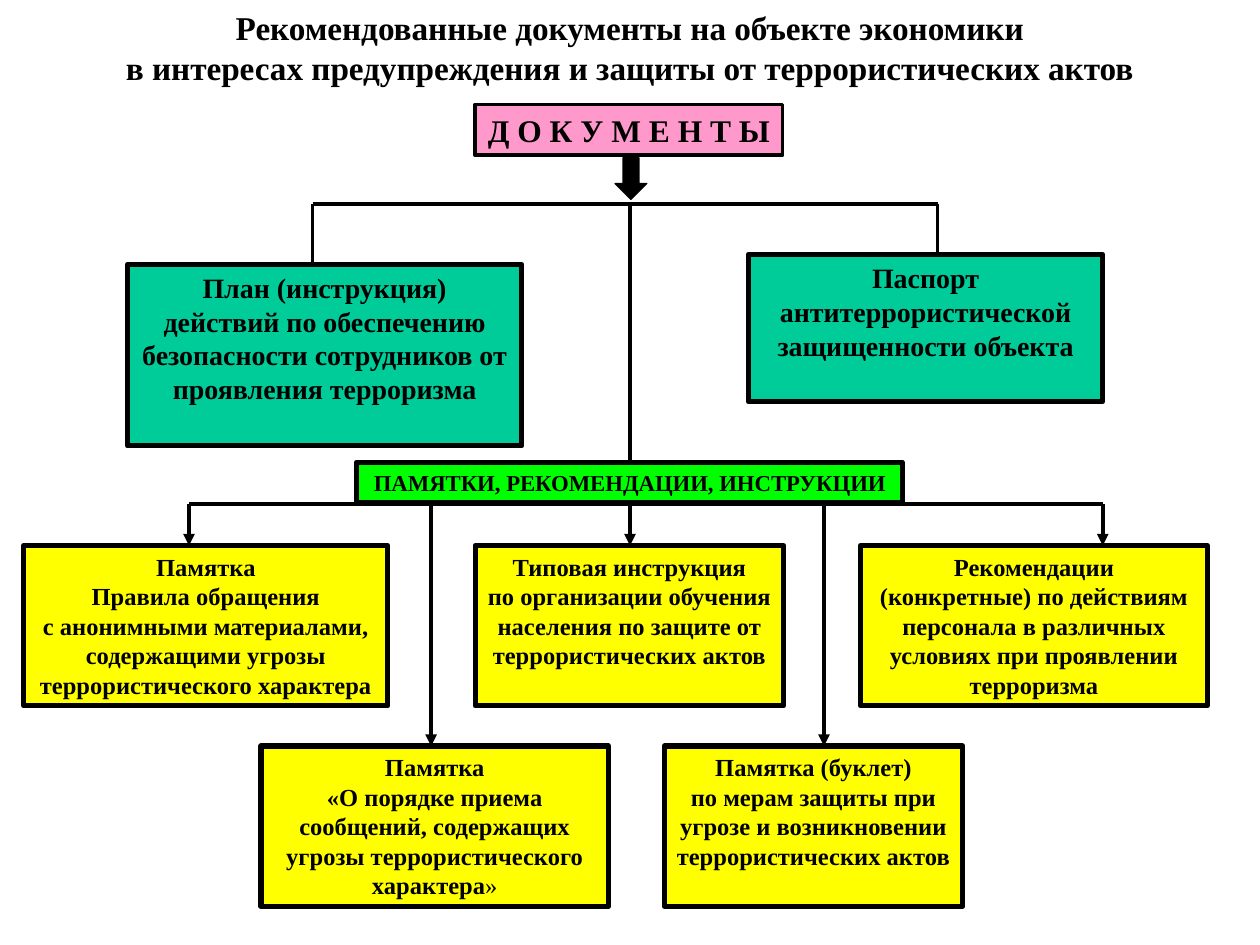
from dataclasses import dataclass

from lxml.etree import SubElement
from pptx import Presentation
from pptx.dml.color import RGBColor
from pptx.enum.shapes import MSO_CONNECTOR as Connector, MSO_SHAPE as Shape
from pptx.enum.text import MSO_ANCHOR as Anchor, MSO_AUTO_SIZE as AutoSize, PP_ALIGN as Align
from pptx.oxml.ns import qn
from pptx.util import Cm, Pt


@dataclass(frozen=True)
class Theme:
    font: str = "Times New Roman"
    ink: str = "000000"
    root: str = "FF99CC"
    branch: str = "00CC99"
    band: str = "00FF00"
    memo: str = "FFFF00"
    title_size: float = 19
    root_size: float = 18
    branch_size: float = 16
    memo_size: float = 14
    band_size: float = 13
    border: float = 3
    root_border: float = 2
    wire: float = 2.25


THEME = Theme()


def rgb(value):
    return RGBColor.from_string(value)


def write(frame, lines, *, size, anchor=Anchor.TOP, wrap=True, light_tail=""):
    """Centred bold lines; light_tail is a regular-weight ending of the last one."""
    frame.auto_size = AutoSize.NONE
    frame.word_wrap = wrap
    frame.vertical_anchor = anchor
    frame.margin_left = frame.margin_right = Cm(0.25)
    frame.margin_top = frame.margin_bottom = Cm(0.13)
    for index, line in enumerate(lines):
        para = frame.add_paragraph() if index else frame.paragraphs[0]
        para.text = line
        para.alignment = Align.CENTER
        if light_tail and index == len(lines) - 1:
            para.add_run().text = light_tail
        for span in para.runs:
            span.font.name = THEME.font
            span.font.size = Pt(size)
            span.font.bold = not (light_tail and span.text == light_tail)
            span.font.color.rgb = rgb(THEME.ink)


def add_block(page, box, fill, border, kind=Shape.RECTANGLE):
    block = page.shapes.add_shape(kind, *(Cm(value) for value in box))
    block.shadow.inherit = False
    block.fill.solid()
    block.fill.fore_color.rgb = rgb(fill)
    block.line.color.rgb = rgb(THEME.ink)
    block.line.width = Pt(border)
    return block


def add_wire(page, x1, y1, x2, y2, arrow=False):
    wire = page.shapes.add_connector(
        Connector.STRAIGHT, Cm(x1), Cm(y1), Cm(x2), Cm(y2))
    wire.line.color.rgb = rgb(THEME.ink)
    wire.line.width = Pt(THEME.wire)
    if arrow:
        SubElement(wire.line._get_or_add_ln(), qn("a:tailEnd"), type="triangle")
    SubElement(wire._element.spPr, qn("a:effectLst"))


def add_title(page, box):
    title = page.shapes.title
    title.left, title.top, title.width, title.height = (Cm(value) for value in box)
    write(title.text_frame,
          ["Рекомендованные документы на объекте экономики\v"
           "в интересах предупреждения и защиты от террористических актов"],
          size=THEME.title_size, anchor=Anchor.MIDDLE)


def add_root(page, box):
    left, top, width, height = box
    block = add_block(page, box, THEME.root, THEME.root_border)
    write(block.text_frame, ["Д О К У М Е Н Т Ы"], size=THEME.root_size, wrap=False)
    # Block arrow leading to the branches
    add_block(page, (left + width / 2 - 0.28, top + height + 0.05, 0.64, 0.84),
              THEME.ink, 0.75, Shape.DOWN_ARROW)


def add_branches(page, box):
    left, top, width, height = box
    # Offset, drop, width, height and lines of each branch
    branches = [
        (-3.73, 1.22, 7.95, 3.66,
         ["План (инструкция)", "действий по обеспечению",
          "безопасности сотрудников от", "проявления терроризма"]),
        (8.79, 1.02, 7.14, 2.97,
         ["Паспорт", "антитеррористической", "защищенности объекта"]),
    ]
    add_wire(page, left, top, left + width, top)
    for wire_x, (offset, drop, block_width, block_height, lines) in zip(
            (left, left + width), branches):
        add_wire(page, wire_x, top, wire_x, top + drop)
        block = add_block(page, (left + offset, top + drop, block_width, block_height),
                          THEME.branch, THEME.border)
        write(block.text_frame, lines, size=THEME.branch_size, wrap=False)
    # Trunk down to the band
    add_wire(page, 12.7, top, 12.7, top + height)


def add_memos(page, box):
    left, top, width, height = box
    memo_height = 3.23
    upper, lower = 0.84, height - memo_height
    # Wire offset, row, block offset, block width, lines, light ending
    memos = [
        (0, upper, -3.33, 7.34,
         ["Памятка", "Правила обращения", "с анонимными материалами,",
          "содержащими угрозы", "террористического характера"], ""),
        (8.89, upper, 5.77, 6.22,
         ["Типовая инструкция", "по организации обучения",
          "населения по защите от", "террористических актов"], ""),
        (width, upper, 13.54, 6.99,
         ["Рекомендации", "(конкретные) по действиям персонала в различных "
          "условиях при проявлении терроризма"], ""),
        (4.88, lower, 1.45, 7.01,
         ["Памятка", "«О порядке приема", "сообщений, содержащих",
          "угрозы террористического", "характера"], "»"),
        (12.8, lower, 9.58, 6.02,
         ["Памятка (буклет)", "по мерам защиты при", "угрозе и возникновении",
          "террористических актов"], ""),
    ]
    add_wire(page, left, top, left + width, top)
    for wire_x, row, offset, block_width, lines, tail in memos:
        add_wire(page, left + wire_x, top, left + wire_x, top + row, arrow=True)
        block = add_block(page, (left + offset, top + row, block_width, memo_height),
                          THEME.memo, THEME.border)
        write(block.text_frame, lines, size=THEME.memo_size, light_tail=tail)
    # Heading band above the wires
    band = add_block(page, (left + 3.38, top - 0.84, 11, 0.81), THEME.band, THEME.border)
    write(band.text_frame, ["ПАМЯТКИ, РЕКОМЕНДАЦИИ, ИНСТРУКЦИИ"],
          size=THEME.band_size, anchor=Anchor.MIDDLE)


def main():
    deck = Presentation()
    deck.slide_width, deck.slide_height = Cm(25.4), Cm(19.05)
    page = deck.slides.add_slide(deck.slide_layouts[5])
    add_title(page, (1.9, 0, 21.6, 1.9))
    add_root(page, (9.58, 2.11, 6.2, 1.02))
    add_branches(page, (6.3, 4.11, 12.6, 5.21))
    add_memos(page, (3.81, 10.16, 18.42, 8.11))
    deck.save("out.pptx")


if __name__ == "__main__":
    main()
